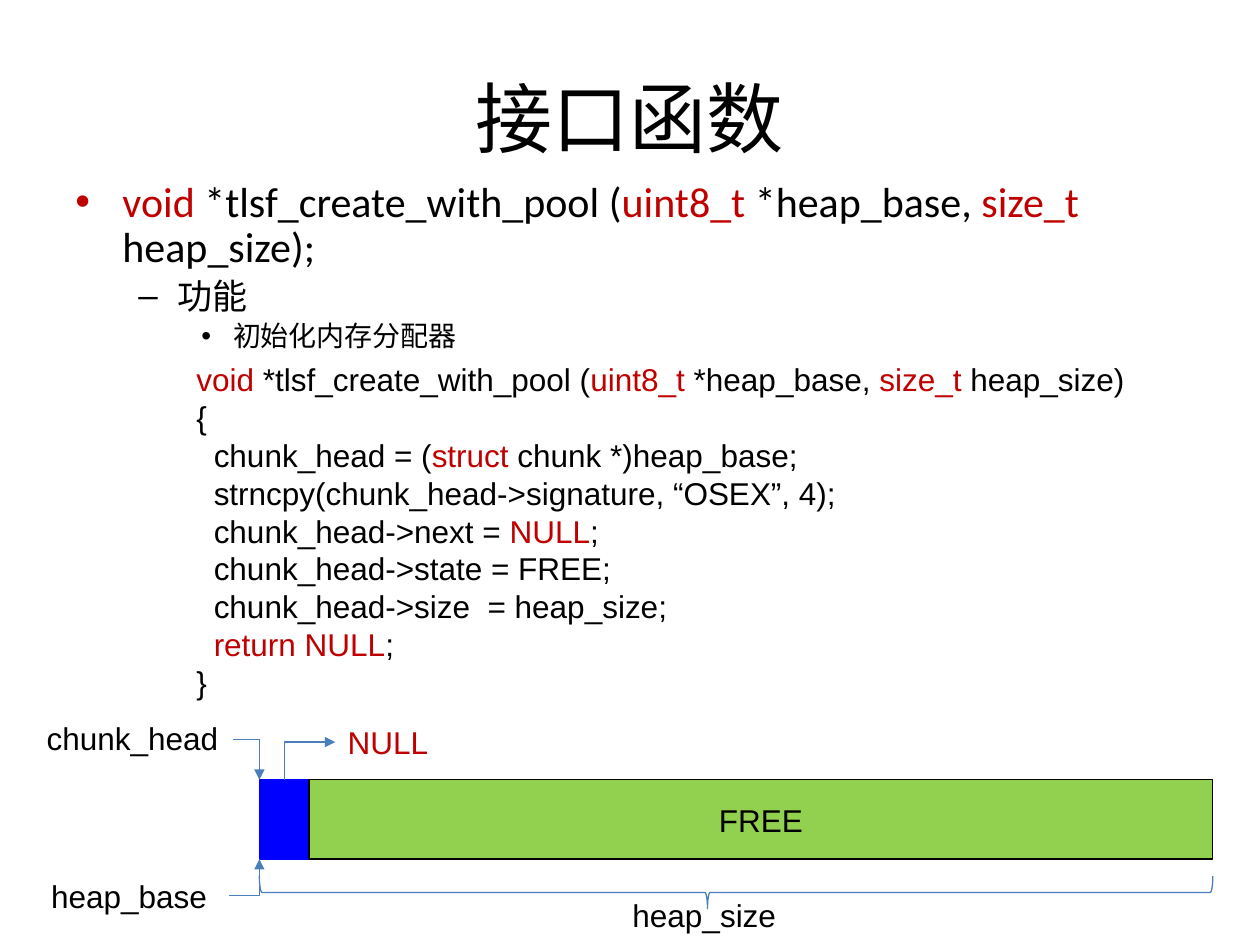
from dataclasses import dataclass

from pptx import Presentation
from pptx.dml.color import RGBColor as RGB
from pptx.enum.shapes import MSO_CONNECTOR as CONN, MSO_SHAPE as SHAPE
from pptx.enum.text import MSO_ANCHOR as ANCHOR, MSO_AUTO_SIZE as AUTO, PP_ALIGN as ALIGN
from pptx.oxml.ns import qn
from pptx.util import Cm, Pt


@dataclass(frozen=True)
class Theme:
    text: RGB = RGB(0, 0, 0)
    keyword: RGB = RGB(0xC0, 0, 0)
    line: RGB = RGB(0x4B, 0x7E, 0xBC)
    header: RGB = RGB(0, 0, 0xFF)
    free: RGB = RGB(0x92, 0xD0, 0x50)
    head_font: str = "Calibri"
    code_font: str = "Arial"
    title_size: int = 44
    code_size: int = 18
    level_sizes: tuple = (24, 20, 16)
    line_width: float = 0.75


T = Theme()

OUTLINE = [
    ("•", 0.95, 0.95, "|void| *tlsf_create_with_pool (|uint8_t |*heap_base, |size_t |heap_size);"),
    ("–", 2.06, 0.79, "功能"),
    ("•", 3.18, 0.64, "初始化内存分配器"),
]

CODE = [
    (0, "|void |*tlsf_create_with_pool (|uint8_t |*heap_base, |size_t |heap_size)"),
    (0, "{"),
    (1, "chunk_head = (|struct| chunk *)heap_base;"),
    (1, "strncpy(chunk_head->signature, “OSEX”, 4);"),
    (1, "chunk_head->next = |NULL|;"),
    (1, "chunk_head->state = FREE;"),
    (1, "chunk_head->size  = heap_size;"),
    (1, "|return NULL|;"),
    (0, "}"),
]


def write(p, text, size=T.code_size, font=T.code_font, align=ALIGN.LEFT):
    p.alignment = align
    for i, part in enumerate(text.split("|")):
        if part:
            r = p.add_run()
            r.text = part
            r.font.size, r.font.name = Pt(size), font
            r.font.color.rgb = T.keyword if i % 2 else T.text


def indent(p, left, hanging=0, bullet=None):
    pPr = p._p.get_or_add_pPr()
    pPr.set("marL", str(Cm(left)))
    pPr.set("indent", str(-Cm(hanging)))
    if bullet:
        pPr.append(pPr.makeelement(qn("a:buFont"), {"typeface": "Arial"}))
        pPr.append(pPr.makeelement(qn("a:buChar"), {"char": bullet}))


def add_text(s, x, y, w, h, wrap=False):
    tf = s.shapes.add_textbox(Cm(x), Cm(y), Cm(w), Cm(h)).text_frame
    tf.word_wrap = wrap
    tf.auto_size = AUTO.NONE if wrap else AUTO.SHAPE_TO_FIT_TEXT
    return tf


def paragraphs(tf, items):
    for i, item in enumerate(items):
        yield tf.add_paragraph() if i else tf.paragraphs[0], item


def add_title(s, text, x, y, w, h):
    sp = s.shapes.title
    sp.left, sp.top, sp.width, sp.height = Cm(x), Cm(y), Cm(w), Cm(h)
    sp.text_frame.vertical_anchor = ANCHOR.MIDDLE
    write(sp.text_frame.paragraphs[0], text, T.title_size, T.head_font, ALIGN.CENTER)


def add_outline(s, x, y, w, h):
    tf = add_text(s, x, y, w, h, wrap=True)
    for level, (p, (bullet, left, hanging, text)) in enumerate(paragraphs(tf, OUTLINE)):
        size = T.level_sizes[level]
        p.level = level
        p.line_spacing = 0.9
        p.space_before = Pt(size * 0.2)
        indent(p, left, hanging, bullet)
        write(p, text, size, T.head_font)


def add_code(s, x, y, w, h):
    for p, (depth, text) in paragraphs(add_text(s, x, y, w, h), CODE):
        indent(p, depth * 0.35)
        write(p, text)


def add_block(s, x, y, w, h, fill, line):
    sp = s.shapes.add_shape(SHAPE.RECTANGLE, Cm(x), Cm(y), Cm(w), Cm(h))
    sp.shadow.inherit = False
    sp.fill.solid()
    sp.fill.fore_color.rgb = fill
    sp.line.color.rgb = line
    sp.line.width = Pt(T.line_width)
    return sp


def add_brace(s, x, y, w, h):
    sp = s.shapes.add_shape(SHAPE.LEFT_BRACE, Cm(x + (w - h) / 2), Cm(y + (h - w) / 2), Cm(h), Cm(w))
    sp.rotation = 270
    sp.adjustments[0], sp.adjustments[1] = 0.08, 0.47
    sp.shadow.inherit = False
    sp.fill.background()
    sp.line.color.rgb = T.line
    sp.line.width = Pt(T.line_width)


def add_bend(s, x1, y1, x2, y2, arrow):
    c = s.shapes.add_connector(CONN.ELBOW, Cm(x1), Cm(y1), Cm(x2), Cm(y2))
    c.line.color.rgb = T.line
    c.line.width = Pt(T.line_width)
    spPr = c._element.spPr
    spPr.find(qn("a:prstGeom")).set("prst", "bentConnector2")
    ln = c.line._get_or_add_ln()
    ln.append(ln.makeelement(qn(f"a:{arrow}"), {"type": "triangle"}))
    spPr.append(spPr.makeelement(qn("a:effectLst"), {}))


def add_memory(s, x, y, w, h):
    head_w, bar_h = 1, 1.6
    bar_y = y + 1.34
    bar_end = bar_y + bar_h
    add_block(s, x, bar_y, head_w, bar_h, T.header, T.header)
    free = add_block(s, x + head_w, bar_y, w - head_w, bar_h, T.free, T.text)
    free.text_frame.vertical_anchor = ANCHOR.MIDDLE
    free.text_frame.word_wrap = False
    write(free.text_frame.paragraphs[0], "FREE", align=ALIGN.CENTER)

    for text, dx, dy, width in [
        ("chunk_head", -4.54, 0, 4.01),
        ("heap_base", -4.45, 3.17, 3.84),
        ("|NULL", 1.53, 0.07, 2.13),
        ("heap_size", 7.27, 3.55, 3.43),
    ]:
        write(add_text(s, x + dx, y + dy, width, 1.02).paragraphs[0], text)

    add_brace(s, x, y + h - 0.66, w, 0.66)
    add_bend(s, x - 0.61, bar_end + 0.74, x, bar_end, "tailEnd")
    add_bend(s, x - 0.53, bar_y - 0.81, x, bar_y, "tailEnd")
    add_bend(s, x + 1.53, bar_y - 0.76, x + head_w / 2, bar_y, "headEnd")


def main():
    prs = Presentation()
    prs.slide_width, prs.slide_height = Cm(25.4), Cm(19.05)
    s = prs.slides.add_slide(prs.slide_layouts[5])
    add_title(s, "接口函数", 1.27, 0.76, 22.86, 3.18)
    add_outline(s, 1.27, 3.53, 22.86, 12.57)
    add_code(s, 3.71, 7.14, 19.38, 7.19)
    add_memory(s, 5.23, 14.38, 19.22, 3.94)
    prs.save("out.pptx")


if __name__ == "__main__":
    main()
